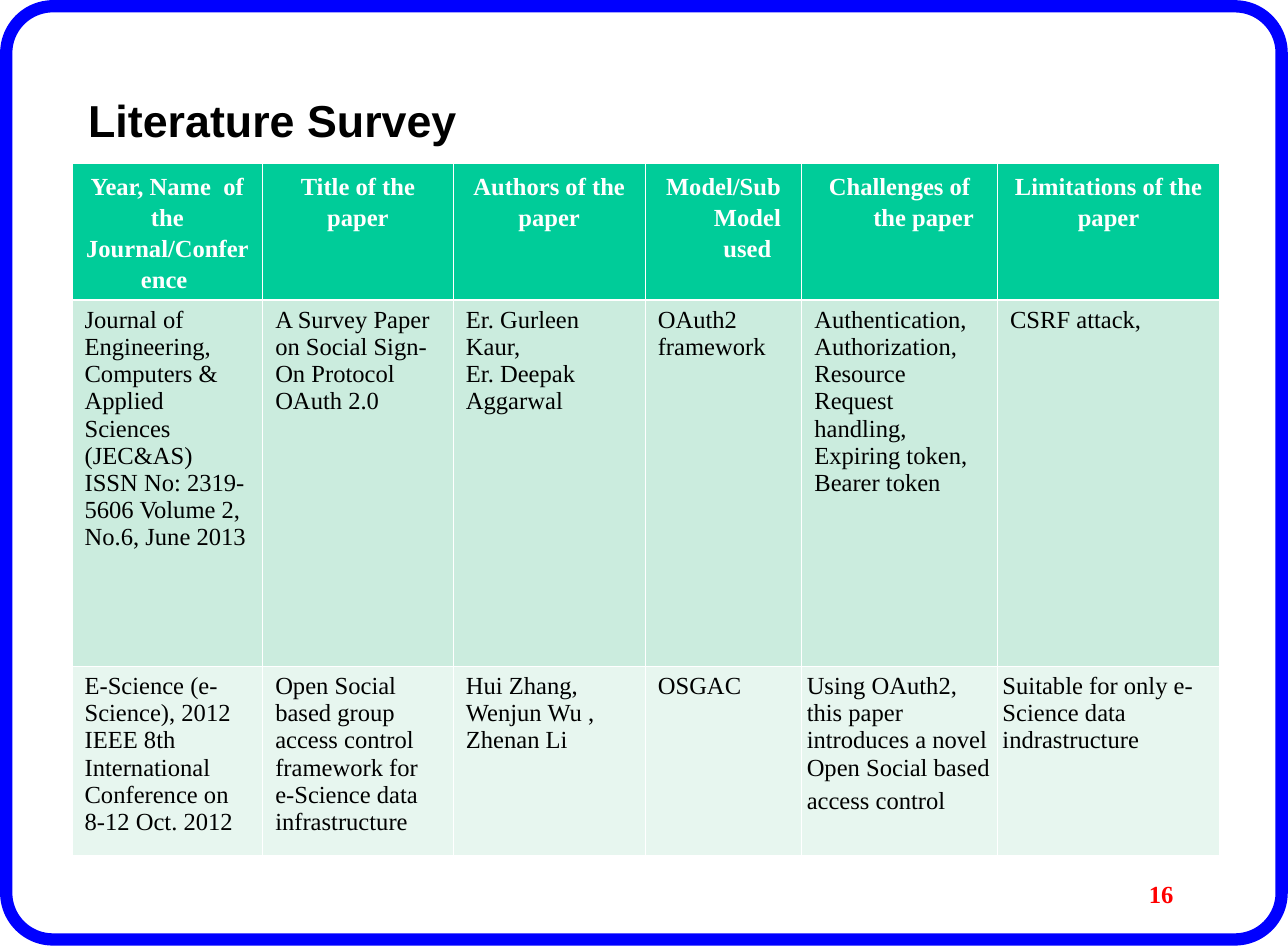
from dataclasses import dataclass

from lxml import etree
from pptx import Presentation
from pptx.dml.color import RGBColor
from pptx.enum.shapes import MSO_SHAPE
from pptx.enum.text import MSO_ANCHOR, PP_ALIGN
from pptx.oxml.ns import qn
from pptx.util import Inches, Pt

ROUNDED = MSO_SHAPE.ROUNDED_RECTANGLE
MIDDLE = MSO_ANCHOR.MIDDLE
LEFT, CENTER, RIGHT = PP_ALIGN.LEFT, PP_ALIGN.CENTER, PP_ALIGN.RIGHT


@dataclass(frozen=True)
class Theme:
    frame: str = "0000FF"
    header: str = "00CC99"
    bands: tuple = ("CBECDE", "E7F6EF")
    white: str = "FFFFFF"
    black: str = "000000"
    number: str = "FF0000"
    heading_font: str = "Arial"
    body_font: str = "Times New Roman"
    title_size: int = 44
    body_size: int = 14
    tail_size: int = 18
    thin: float = 0.45
    thick: float = 1.47


T = Theme()


def add_run(p, text, color, bold=False, size=T.body_size, font=T.body_font):
    r = p.add_run()
    r.text = text
    r.font.name = font
    r.font.size = Pt(size)
    r.font.bold = bold
    r.font.color.rgb = RGBColor.from_string(color)
    return r


def add_borders(cell, top, bottom):
    """Draw white cell borders; call before the cell is filled."""
    tc_pr = cell._tc.get_or_add_tcPr()
    for side, width in (("L", T.thin), ("R", T.thin), ("T", top), ("B", bottom)):
        ln = etree.SubElement(tc_pr, qn(f"a:ln{side}"), w=str(Pt(width)))
        fill = etree.SubElement(ln, qn("a:solidFill"))
        etree.SubElement(fill, qn("a:srgbClr"), val=T.white)


prs = Presentation()
prs.slide_width, prs.slide_height = Inches(10.2), Inches(7.5)
s = prs.slides.add_slide(prs.slide_layouts[6])

# Rounded frame around the slide
frame = s.shapes.add_shape(ROUNDED, Inches(0.05), Inches(0.05), Inches(10.1), Inches(7.39))
frame.adjustments[0] = 0.05
frame.shadow.inherit = False
frame.fill.background()
frame.line.color.rgb = RGBColor.from_string(T.frame)
frame.line.width = Pt(7)

# Literature table: each cell is a list of paragraphs
HEADERS = ["Year, Name  of the Journal/Conference ", "Title of the paper", "Authors of the paper",
           "Model/Sub Model used", "Challenges of the paper", "Limitations of the paper"]
PAPERS = [
    [["Journal of Engineering, Computers & Applied Sciences (JEC&AS) "
      "ISSN No: 2319‐5606 Volume 2, No.6, June 2013"],
     ["A Survey Paper on Social Sign-On Protocol OAuth 2.0"],
     ["Er. Gurleen Kaur,", "Er. Deepak Aggarwal"],
     ["OAuth2 framework"],
     ["Authentication,", "Authorization,", "Resource Request handling,", "Expiring token,",
      "Bearer token"],
     ["CSRF attack,"]],
    [["E-Science (e-Science), 2012 IEEE 8th International Conference on 8-12 Oct. 2012"],
     ["Open Social based group access control framework for e-Science data infrastructure"],
     ["Hui Zhang, Wenjun Wu , Zhenan Li"],
     ["OSGAC"],
     ["Using OAuth2, this paper introduces a novel Open Social based access control"],
     ["Suitable for only e-Science data indrastructure"]],
]
COL_WIDTHS = [1.51, 1.51, 1.52, 1.24, 1.55, 1.76]
ROW_HEIGHTS = [1.07, 2.9, 1.5]
HANGING_HEADERS = (3, 4)
TIGHT_CELLS = ((2, 4), (2, 5))

rows = [[[header] for header in HEADERS]] + PAPERS
table = s.shapes.add_table(len(rows), len(HEADERS), Inches(0.57), Inches(1.29),
                           Inches(sum(COL_WIDTHS)), Inches(sum(ROW_HEIGHTS))).table
for column, width in zip(table.columns, COL_WIDTHS):
    column.width = Inches(width)

for i, (row, height) in enumerate(zip(rows, ROW_HEIGHTS)):
    table.rows[i].height = Inches(height)
    is_header = i == 0
    for j, paragraphs in enumerate(row):
        cell = table.cell(i, j)
        add_borders(cell, T.thick if i == 1 else T.thin, T.thick if is_header else T.thin)
        cell.fill.solid()
        cell.fill.fore_color.rgb = RGBColor.from_string(T.header if is_header else T.bands[i - 1])
        side = 0.08 if is_header else 0.04 if (i, j) in TIGHT_CELLS else 0.1
        cell.margin_left = cell.margin_right = Inches(side)
        cell.margin_top = cell.margin_bottom = Inches(0.05)
        tf = cell.text_frame
        for n, text in enumerate(paragraphs):
            p = tf.paragraphs[0] if n == 0 else tf.add_paragraph()
            p.alignment = CENTER if is_header else LEFT
            if is_header:
                p.line_spacing = 1.15
                if j in HANGING_HEADERS:
                    p_pr = p._p.get_or_add_pPr()
                    p_pr.set("marL", str(Inches(0.38)))
                    p_pr.set("indent", str(Inches(-0.38)))
            add_run(p, text, T.white if is_header else T.black, is_header)

# The larger closing space opens up the last line of this cell
add_run(table.cell(2, 4).text_frame.paragraphs[0], " ", T.black, size=T.tail_size)

# Title and slide number
LABELS = [
    ("Literature Survey", (0.6, 0.33, 9.33, 0.83), LEFT, T.black, T.title_size, T.heading_font),
    ("16", (7.27, 6.83, 2.12, 0.5), RIGHT, T.number, T.body_size, T.body_font),
]
for text, box, align, color, size, font in LABELS:
    tf = s.shapes.add_textbox(*map(Inches, box)).text_frame
    tf.word_wrap = True
    tf.vertical_anchor = MIDDLE
    p = tf.paragraphs[0]
    p.alignment = align
    r = add_run(p, text, color, True, size, font)
    if size == T.title_size:
        r.font._element.set("baseline", "-25000")

prs.save("out.pptx")
